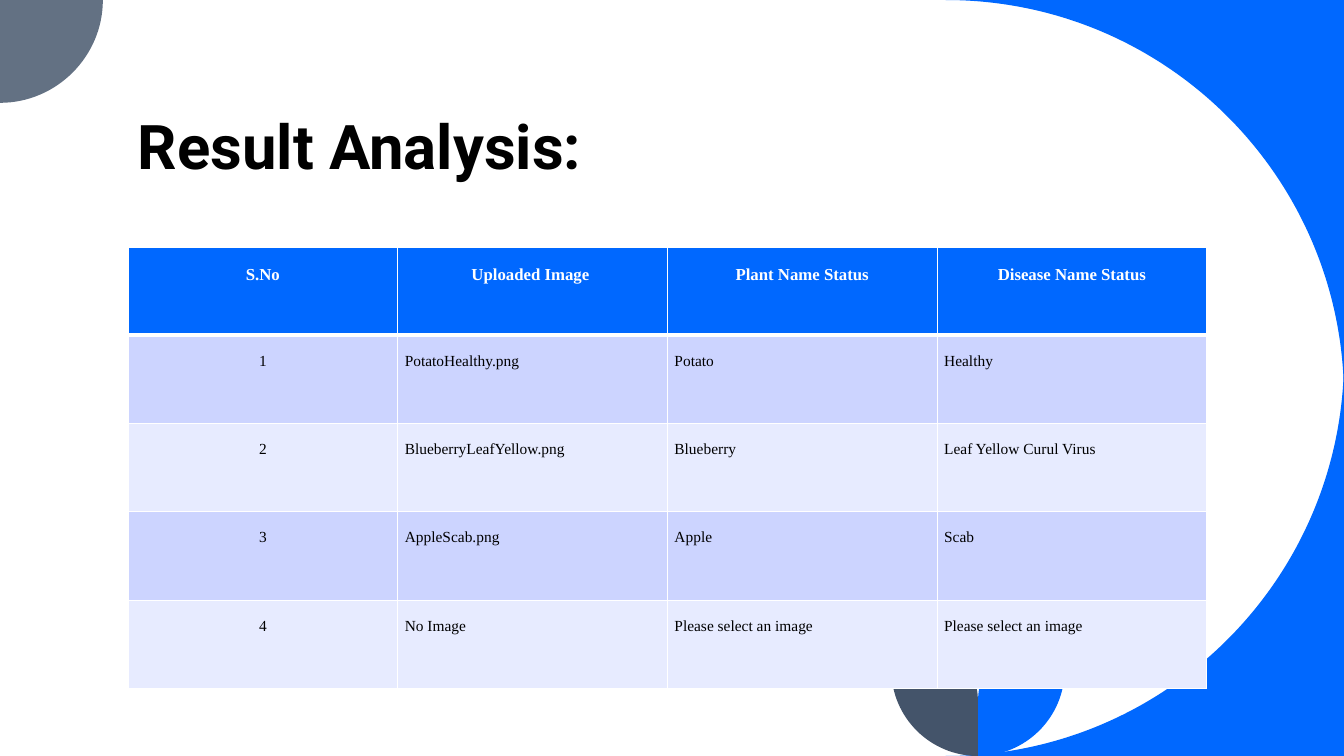
from lxml.etree import SubElement
from pptx import Presentation
from pptx.dml.color import RGBColor
from pptx.enum.text import MSO_ANCHOR as Anchor, PP_ALIGN as Align
from pptx.oxml.ns import qn
from pptx.util import Inches, Pt

BLUE = RGBColor(0x00, 0x68, 0xFF)
GRAY = RGBColor(0x63, 0x71, 0x83)
SLATE = RGBColor(0x44, 0x54, 0x6A)
BANDS = [RGBColor(0xCC, 0xD4, 0xFF), RGBColor(0xE7, 0xEB, 0xFF)]
WHITE = RGBColor(0xFF, 0xFF, 0xFF)
BLACK = RGBColor(0, 0, 0)

deck = Presentation()
deck.slide_width, deck.slide_height = Inches(13.33), Inches(7.5)
slide = deck.slides.add_slide(deck.slide_layouts[6])


def draw(points, curves, color):
    """Outline through points; each index in curves starts a Bezier triple."""
    spots = [(Inches(x), Inches(y)) for x, y in points]
    pen = slide.shapes.build_freeform(*spots[0])
    pen.add_line_segments(spots[1:], close=True)
    shape = pen.convert_to_shape()
    shape.shadow.inherit = False
    shape.fill.solid()
    shape.fill.fore_color.rgb = color
    shape.line.fill.background()

    # Join three line steps into one curve
    lines = list(shape._element.iter(qn("a:lnTo")))
    for first in curves:
        steps = lines[first - 1:first + 2]
        curve = SubElement(steps[0].getparent(), qn("a:cubicBezTo"))
        steps[0].addprevious(curve)
        for step in steps:
            curve.append(step[0])
            step.getparent().remove(step)


# Blue corners around the large curve
draw([(13.33, 0), (9.38, 0), (11.57, 0), (13.33, 1.77), (13.33, 3.95)], [2], BLUE)
draw([(13.33, 3.55), (13.33, 5.73), (11.57, 7.5), (9.38, 7.5), (13.33, 7.5)], [1], BLUE)

# Gray quarter circle, top left
draw([(0, 0), (1.02, 0), (1.02, 0.56), (0.56, 1.02), (0, 1.02)], [2], GRAY)

# Pair of mirrored petals at the bottom
petal = [(10.56, 6.11), (10.56, 6.64), (10.56, 7.12), (10.17, 7.5), (9.7, 7.5),
         (9.7, 6.97), (9.7, 6.53), (10.04, 6.16), (10.47, 6.12)]
draw(petal, [2, 6], BLUE)
draw([(19.4 - x, y) for x, y in petal], [2, 6], SLATE)

# Title
title = slide.shapes.add_textbox(Inches(1.27), Inches(0.42), Inches(10.69), Inches(1.44))
frame = title.text_frame
frame.word_wrap = True
frame.vertical_anchor = Anchor.BOTTOM
frame.text = "Result Analysis:"
para = frame.paragraphs[0]
para.line_spacing = 0.9
font = para.runs[0].font
font.name, font.size, font.bold = "Roboto", Pt(44), True
font.color.rgb = BLACK

# Results table
rows = [
    ("S.No", "Uploaded Image ", "Plant Name Status", "Disease Name Status"),
    ("1", "PotatoHealthy.png", "Potato", "Healthy"),
    ("2", "BlueberryLeafYellow.png", "Blueberry", "Leaf Yellow Curul Virus"),
    ("3", "AppleScab.png", "Apple", "Scab"),
    ("4", "No Image", "Please select an image", "Please select an image"),
]
table = slide.shapes.add_table(
    len(rows), 4, Inches(1.27), Inches(2.45), Inches(10.7), Inches(4.38)).table
for r, row in enumerate(rows):
    head = r == 0
    for c, text in enumerate(row):
        cell = table.cell(r, c)
        cell.margin_left = cell.margin_right = Inches(0.07)
        cell.margin_top = cell.margin_bottom = 0
        cell.vertical_anchor = Anchor.TOP

        # Cell text
        cell.text_frame.text = text
        para = cell.text_frame.paragraphs[0]
        para.alignment = Align.CENTER if head or c == 0 else Align.LEFT
        para.line_spacing = 2.0
        para.space_after = Pt(10)
        font = para.runs[0].font
        font.name, font.bold = "Times New Roman", head
        font.size = Pt(12 if head else 11)
        font.color.rgb = WHITE if head else BLACK

        # White borders, thicker under the header, then the fill
        props = cell._tc.get_or_add_tcPr()
        for side in "LRTB":
            thick = (r, side) in [(0, "B"), (1, "T")]
            edge = SubElement(props, qn("a:ln" + side), w=str(Pt(3 if thick else 1)))
            SubElement(SubElement(edge, qn("a:solidFill")), qn("a:srgbClr"), val=str(WHITE))
        cell.fill.solid()
        cell.fill.fore_color.rgb = BLUE if head else BANDS[(r - 1) % 2]

deck.save("out.pptx")
